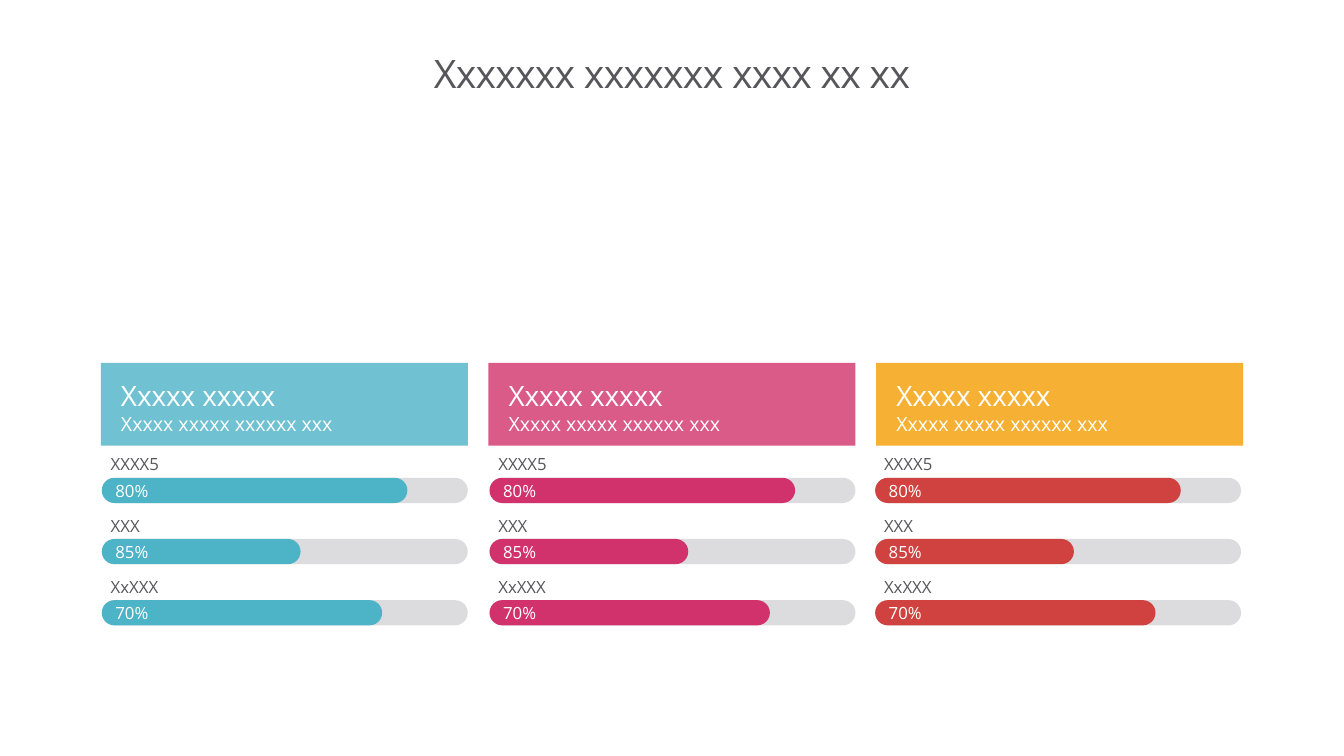
from pptx import Presentation
from pptx.dml.color import RGBColor
from pptx.enum.shapes import MSO_SHAPE as Shape
from pptx.enum.text import MSO_ANCHOR as Anchor, PP_ALIGN as Align
from pptx.oxml.ns import qn
from pptx.util import Inches, Pt
from lxml.etree import SubElement

# Content
TITLE = "Xxxxxxx xxxxxxx xxxx xx xx"
HEADING = "Xxxxx xxxxx"
SUBHEADING = "Xxxxx xxxxx xxxxxx xxx"
# label, value shown, filled share of the track
METRICS = [("XXXX5", "80%", 0.835), ("XXX", "85%", 0.543), ("XxXXX", "70%", 0.766)]

# Colours
WHITE = RGBColor(0xFF, 0xFF, 0xFF)
GREY_TEXT = RGBColor(0x57, 0x56, 0x5A)
TRACK = RGBColor(0xBB, 0xBB, 0xBE)
TEAL = RGBColor(0x4D, 0xB3, 0xC7)
PINK = RGBColor(0xD2, 0x32, 0x6B)
AMBER = RGBColor(0xF4, 0x9D, 0x00)
RED = RGBColor(0xCF, 0x42, 0x3F)
# card colour, bar colour, shift of the bars against the card
COLUMNS = [(TEAL, TEAL, 0), (PINK, PINK, 0), (AMBER, RED, -0.02)]

# Grid, in inches
WIDTH, HEIGHT = 13.33, 7.5
MARGIN = 1
COLUMN_STEP = 3.845
CARD_TOP, CARD_WIDTH, CARD_HEIGHT = 3.6, 3.64, 0.82
LABEL_TOP, LABEL_WIDTH = 4.47, 1.37
BAR_TOP, BAR_WIDTH, BAR_HEIGHT = 4.74, 3.63, 0.25
ROW_STEP = 0.607

presentation = Presentation()
presentation.slide_width, presentation.slide_height = Inches(WIDTH), Inches(HEIGHT)
slide = presentation.slides.add_slide(presentation.slide_layouts[6])


def add_block(preset, box, color, opacity=100):
    shape = slide.shapes.add_shape(preset, *map(Inches, box))
    shape.shadow.inherit = False
    shape.line.fill.background()
    shape.fill.solid()
    shape.fill.fore_color.rgb = color
    if opacity < 100:
        color_element = shape.fill._xPr.find(qn("a:solidFill"))[0]
        SubElement(color_element, qn("a:alpha")).set("val", str(opacity * 1000))
    if preset == Shape.ROUNDED_RECTANGLE:
        shape.adjustments[0] = 0.5
    return shape


def write(shape, lines, color, anchor, insets, align=Align.LEFT, line_spacing=None):
    """Each line is (text, size, letter spacing in points)."""
    frame = shape.text_frame
    side, edge = map(Inches, insets)
    frame_format = {"word_wrap": True, "vertical_anchor": anchor,
                    "margin_left": side, "margin_right": side,
                    "margin_top": edge, "margin_bottom": edge}
    for name, value in frame_format.items():
        setattr(frame, name, value)
    for index, (text, size, tracking) in enumerate(lines):
        paragraph = frame.add_paragraph() if index else frame.paragraphs[0]
        paragraph.alignment = align
        paragraph.line_spacing = line_spacing
        run = paragraph.add_run()
        run.text = text
        for name, value in {"name": "Open Sans", "size": Pt(size)}.items():
            setattr(run.font, name, value)
        run.font.color.rgb = color
        if tracking:
            run._r.get_or_add_rPr().set("spc", str(round(tracking * 100)))


def add_text(box, lines, **text_format):
    write(slide.shapes.add_textbox(*map(Inches, box)), lines, GREY_TEXT, **text_format)


# Title
add_text((MARGIN, 0.31, WIDTH - 2 * MARGIN, 0.89), [(TITLE, 28, -0.5)],
         anchor=Anchor.MIDDLE, insets=(0, 0), align=Align.CENTER, line_spacing=0.86)

for column, (card_color, bar_color, shift) in enumerate(COLUMNS):
    # Heading card
    left = MARGIN + column * COLUMN_STEP
    card = add_block(Shape.RECTANGLE, (left, CARD_TOP, CARD_WIDTH, CARD_HEIGHT), card_color, 80)
    write(card, [(HEADING, 20, -0.1), (SUBHEADING, 14, 0)], WHITE, Anchor.BOTTOM, (0.2, 0.1))

    # Labelled progress bars
    left += shift
    for row, (label, value, share) in enumerate(METRICS):
        drop = row * ROW_STEP
        add_text((left, LABEL_TOP + drop, LABEL_WIDTH, BAR_HEIGHT), [(label, 12, 0)],
                 anchor=Anchor.TOP, insets=(0.1, 0.05), line_spacing=0.95)
        bar_left, bar_top = left + 0.01, BAR_TOP + drop
        add_block(Shape.ROUNDED_RECTANGLE, (bar_left, bar_top, BAR_WIDTH, BAR_HEIGHT), TRACK, 50)
        bar = add_block(Shape.ROUNDED_RECTANGLE,
                        (bar_left, bar_top, BAR_WIDTH * share, BAR_HEIGHT), bar_color)
        write(bar, [(value, 12, 0)], WHITE, Anchor.MIDDLE, (0.1, 0))

presentation.save("out.pptx")
